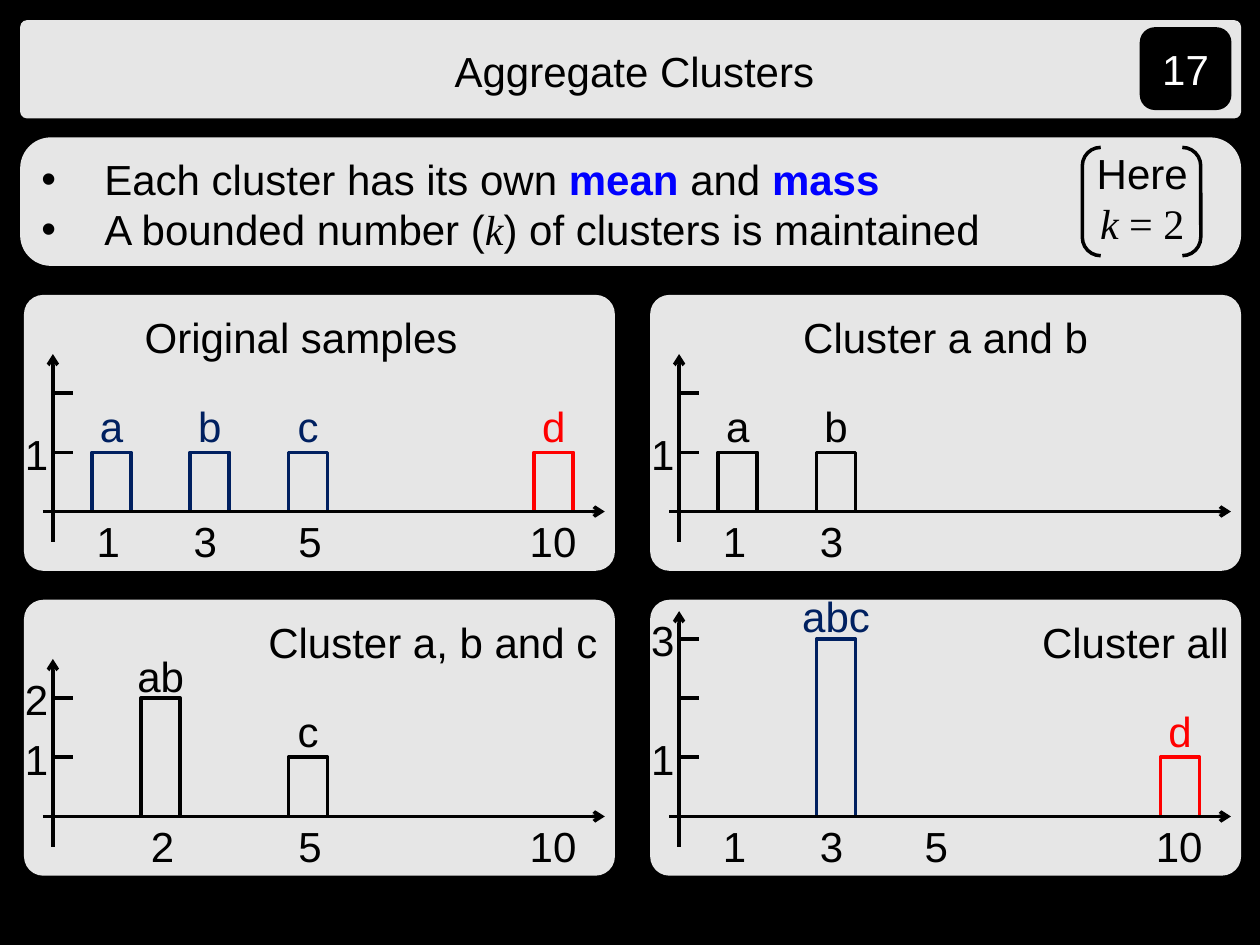
from pptx import Presentation
from pptx.dml.color import RGBColor
from pptx.enum.shapes import MSO_CONNECTOR, MSO_SHAPE
from pptx.enum.text import MSO_ANCHOR, PP_ALIGN
from pptx.oxml.ns import qn
from pptx.util import Inches, Pt
from lxml.etree import SubElement

THEME = {
    "black": RGBColor(0, 0, 0),
    "white": RGBColor(255, 255, 255),
    "navy": RGBColor(0, 32, 96),
    "red": RGBColor(255, 0, 0),
    "blue": RGBColor(0, 0, 255),
    "text_size": Pt(24),
    "line_width": Pt(2),
    "font": "Arial",
    "math_font": "Times New Roman",
}
KEYWORD = {"bold": True, "color": "blue"}
MATH = {"name": THEME["math_font"]}
VARIABLE = {"name": THEME["math_font"], "italic": True}

presentation = Presentation()
presentation.slide_width = Inches(10)
presentation.slide_height = Inches(7.5)
slide = presentation.slides.add_slide(presentation.slide_layouts[6])
slide.background.fill.solid()
slide.background.fill.fore_color.rgb = THEME["black"]


def add_shape(kind, box, fill=None, line=None, corner=None, opacity=None):
    shape = slide.shapes.add_shape(kind, *map(Inches, box))
    shape.shadow.inherit = False
    if corner is not None:
        shape.adjustments[0] = corner
    if fill:
        shape.fill.solid()
        shape.fill.fore_color.rgb = THEME[fill]
    else:
        shape.fill.background()
    if opacity:
        color = shape.fill._xPr.find(qn("a:solidFill"))[0]
        SubElement(color, qn("a:alpha"), val=str(opacity * 1000))
    if line:
        shape.line.color.rgb = THEME[line]
        shape.line.width = THEME["line_width"]
    else:
        shape.line.fill.background()
    return shape


def write_text(shape, paragraphs, align=PP_ALIGN.CENTER, color="black", wrap=True, bullet=False):
    """Fill a shape with paragraphs, each a list of (text, format) runs."""
    frame = shape.text_frame
    frame.word_wrap = wrap
    for index, runs in enumerate(paragraphs):
        paragraph = frame.add_paragraph() if index else frame.paragraphs[0]
        paragraph.alignment = align
        if bullet:
            properties = paragraph._p.get_or_add_pPr()
            properties.set("marL", str(Inches(0.5)))
            properties.set("indent", str(-Inches(0.5)))
            SubElement(properties, qn("a:buFont"), typeface=THEME["font"])
            SubElement(properties, qn("a:buChar"), char="•")
        for text, changes in runs:
            run = paragraph.add_run()
            run.text = text
            values = {"name": THEME["font"], "size": THEME["text_size"], "color": color} | changes
            run.font.color.rgb = THEME[values.pop("color")]
            for attribute, value in values.items():
                setattr(run.font, attribute, value)


# Header and key points
for top, height, corner in [(0.16, 0.78, 0.07), (1.09, 1.02, 0.24)]:
    add_shape(MSO_SHAPE.ROUNDED_RECTANGLE, (0.16, top, 9.69, height), "white", None, corner, 90)

title = slide.shapes.add_textbox(*map(Inches, (0.23, 0.31, 9.61, 0.5)))
write_text(title, [[("Aggregate Clusters", {})]])

key_points = slide.shapes.add_textbox(*map(Inches, (0.23, 1.17, 7.97, 0.9)))
write_text(key_points, [
    [("Each cluster has its own ", {}), ("mean", KEYWORD), (" and ", {}), ("mass", KEYWORD)],
    [("A bounded number (", {}), ("k", VARIABLE), (") of clusters is maintained", {})],
], PP_ALIGN.LEFT, bullet=True)

example = slide.shapes.add_textbox(*map(Inches, (8.52, 1.12, 1.09, 0.9)))
write_text(example, [[("Here", {})], [("k ", VARIABLE), ("= 2", MATH)]])
add_shape(MSO_SHAPE.DOUBLE_BRACKET, (8.59, 1.17, 0.94, 0.86), None, "black", 0.17)

page_badge = add_shape(MSO_SHAPE.ROUNDED_RECTANGLE, (9.06, 0.23, 0.7, 0.63), "black", "black", 0.17)
page_badge.text_frame.vertical_anchor = MSO_ANCHOR.MIDDLE
write_text(page_badge, [[("17", {})]], color="white")

# Histogram panels
UNIT_WIDTH, UNIT_HEIGHT, BAR_WIDTH = 0.39, 0.47, 0.31
LABEL_HEIGHT = 0.5
COLUMNS, ROWS = (0.19, 5.16), (2.34, 4.76)
VALUE_CENTERS = {1: 0.67, 2: 1.1, 3: 1.44, 5: 2.27, 10: 4.2}

# Title as (text, left, width, alignment); bars as (value, mass, name, colour)
panels = [
    {"column": 0, "row": 0, "title": ("Original samples", 0.86, 3.04, PP_ALIGN.LEFT),
     "axis_height": 1.25, "ticks": 2, "masses": [1], "values": [1, 3, 5, 10],
     "bars": [(1, 1, "a", "navy"), (3, 1, "b", "navy"), (5, 1, "c", "navy"), (10, 1, "d", "red")]},
    {"column": 1, "row": 0, "title": ("Cluster a and b", 0, 4.69, PP_ALIGN.CENTER),
     "axis_height": 1.25, "ticks": 2, "masses": [1], "values": [1, 3],
     "bars": [(1, 1, "a", "black"), (3, 1, "b", "black")]},
    {"column": 0, "row": 1, "title": ("Cluster a, b and c", 0.04, 4.61, PP_ALIGN.RIGHT),
     "axis_height": 1.25, "ticks": 2, "masses": [1, 2], "values": [2, 5, 10],
     "bars": [(2, 2, "ab", "black"), (5, 1, "c", "black")]},
    {"column": 1, "row": 1, "title": ("Cluster all", 0, 4.69, PP_ALIGN.RIGHT),
     "axis_height": 1.63, "ticks": 3, "masses": [1, 3], "values": [1, 3, 5, 10],
     "bars": [(3, 3, "abc", "navy"), (10, 1, "d", "red")]},
]

for panel in panels:
    left, top = COLUMNS[panel["column"]], ROWS[panel["row"]]
    axis, baseline = left + 0.23, top + 1.72
    add_shape(MSO_SHAPE.ROUNDED_RECTANGLE, (left, top, 4.69, 2.19), "white", None, 0.07, 90)

    text, title_left, title_width, align = panel["title"]
    heading = slide.shapes.add_textbox(
        *map(Inches, (left + title_left, top + 0.08, title_width, LABEL_HEIGHT)))
    write_text(heading, [[(text, {})]], align)

    # Labels as (text, centre, top, colour)
    labels = [(str(value), left + VALUE_CENTERS[value], baseline - 0.02, "black")
              for value in panel["values"]]
    labels += [(str(mass), left + 0.1, baseline - mass * UNIT_HEIGHT - 0.24, "black")
               for mass in panel["masses"]]
    for value, mass, name, color in panel["bars"]:
        bar_left = left + 0.54 + (value - 1) * UNIT_WIDTH
        bar_top = baseline - mass * UNIT_HEIGHT
        add_shape(MSO_SHAPE.RECTANGLE, (bar_left, bar_top, BAR_WIDTH, mass * UNIT_HEIGHT), None, color)
        label_rise = 0.46 if mass == 1 else 0.43
        labels.append((name, bar_left + BAR_WIDTH / 2, bar_top - label_rise, color))

    for text, center, label_top, color in labels:
        width = 0.22 + 0.19 * len(text)
        label = slide.shapes.add_textbox(
            *map(Inches, (center - width / 2, label_top, width, LABEL_HEIGHT)))
        write_text(label, [[(text, {})]], color=color, wrap=False)

    # Lines as (start, end, has arrowhead)
    lines = [((axis, baseline + 0.24), (axis, baseline - panel["axis_height"]), True)]
    for tick in range(1, panel["ticks"] + 1):
        height = baseline - tick * UNIT_HEIGHT
        lines.append(((axis, height), (axis + 0.16, height), False))
    lines.append(((left + 0.15, baseline), (left + 4.61, baseline), True))
    for start, end, has_arrow in lines:
        connector = slide.shapes.add_connector(MSO_CONNECTOR.STRAIGHT, *map(Inches, start + end))
        connector.line.color.rgb = THEME["black"]
        connector.line.width = THEME["line_width"]
        if has_arrow:
            SubElement(connector.line._get_or_add_ln(), qn("a:tailEnd"), type="arrow")
        SubElement(connector._element.spPr, qn("a:effectLst"))

presentation.save("out.pptx")
